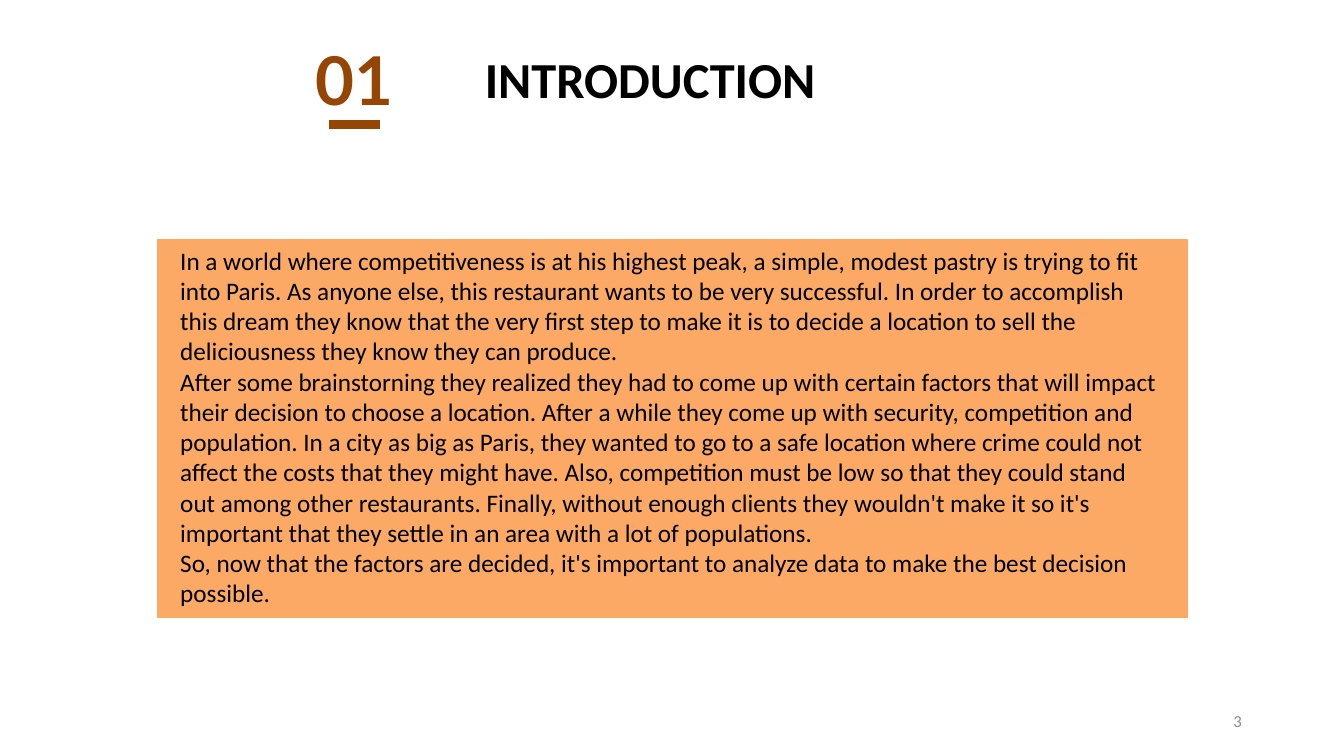
from pptx import Presentation
from pptx.dml.color import RGBColor
from pptx.enum.shapes import MSO_CONNECTOR, MSO_SHAPE
from pptx.enum.text import MSO_ANCHOR, PP_ALIGN
from pptx.util import Pt
from lxml import etree

LEFT, MID, RIGHT = PP_ALIGN.LEFT, PP_ALIGN.CENTER, PP_ALIGN.RIGHT
TOP, CENTRE = MSO_ANCHOR.TOP, MSO_ANCHOR.MIDDLE
RECT, LINE = MSO_SHAPE.RECTANGLE, MSO_CONNECTOR.STRAIGHT
DML = "http://schemas.openxmlformats.org/drawingml/2006/main"

HUES = {"ink": "000000", "rust": "964604", "peach": "FBA965", "grey": "8C8C8C"}

STORY = [
    "In a world where competitiveness is at his highest peak, a simple, modest "
    "pastry is trying to fit into Paris. As anyone else, this restaurant wants to "
    "be very successful. In order to accomplish this dream they know that the very "
    "first step to make it is to decide a location to sell the deliciousness they "
    "know they can produce.",
    "After some brainstorning they realized they had to come up with certain "
    "factors that will impact their decision to choose a location. After a while "
    "they come up with security, competition and population. In a city as big as "
    "Paris, they wanted to go to a safe location where crime could not affect the "
    "costs that they might have. Also, competition must be low so that they could "
    "stand out among other restaurants. Finally, without enough clients they "
    "wouldn't make it so it's important that they settle in an area with a lot of "
    "populations.",
    "So, now that the factors are decided, it's important to analyze data to make "
    "the best decision possible.",
]


class Page:
    """A slide together with its colours and text style."""

    def __init__(self, slide, hues, face="Calibri"):
        self.shapes = slide.shapes
        self.hues = hues
        self.face = face

    def hue(self, name):
        return RGBColor.from_string(self.hues[name])

    def text(self, box, lines, size, hue="ink", align=LEFT, anchor=TOP, **extra):
        """Write one paragraph per line; extra holds further font values."""
        frame = self.shapes.add_textbox(*map(Pt, box)).text_frame
        frame.word_wrap = True
        frame.vertical_anchor = anchor
        frame.text = "\n".join(lines)
        style = {"name": self.face, "size": Pt(size), **extra}
        for para in frame.paragraphs:
            para.alignment = align
            for run in para.runs:
                run.font.color.rgb = self.hue(hue)
                for key, value in style.items():
                    setattr(run.font, key, value)

    def panel(self, box, hue):
        shape = self.shapes.add_shape(RECT, *map(Pt, box))
        shape.shadow.inherit = False
        shape.fill.solid()
        shape.fill.fore_color.rgb = shape.line.color.rgb = self.hue(hue)
        shape.line.width = Pt(1)

    def rule(self, ends, hue, width):
        line = self.shapes.add_connector(LINE, *map(Pt, ends))
        line.line.color.rgb = self.hue(hue)
        line.line.width = Pt(width)
        etree.SubElement(line._element.spPr, f"{{{DML}}}effectLst")


def main():
    deck = Presentation()
    deck.slide_width, deck.slide_height = Pt(960), Pt(540)
    page = Page(deck.slides.add_slide(deck.slide_layouts[6]), HUES)

    page.text((678.2, 500.5, 216, 28.75), ["3"], 12, "grey", RIGHT, CENTRE)
    page.text((234.7, 31, 459.4, 51), ["INTRODUCTION"], 36, align=MID, bold=True)
    page.panel((112.3, 171.4, 735.8, 269.3), "peach")
    page.text((218.2, 23.8, 70.6, 65.5), ["01"], 48, "rust", name="Lato", bold=True)
    page.rule((234.7, 88.9, 271.4, 88.9), "rust", 6)
    page.text((121.7, 171.4, 712.8, 269.3), STORY, 18)

    deck.save("out.pptx")


if __name__ == "__main__":
    main()
